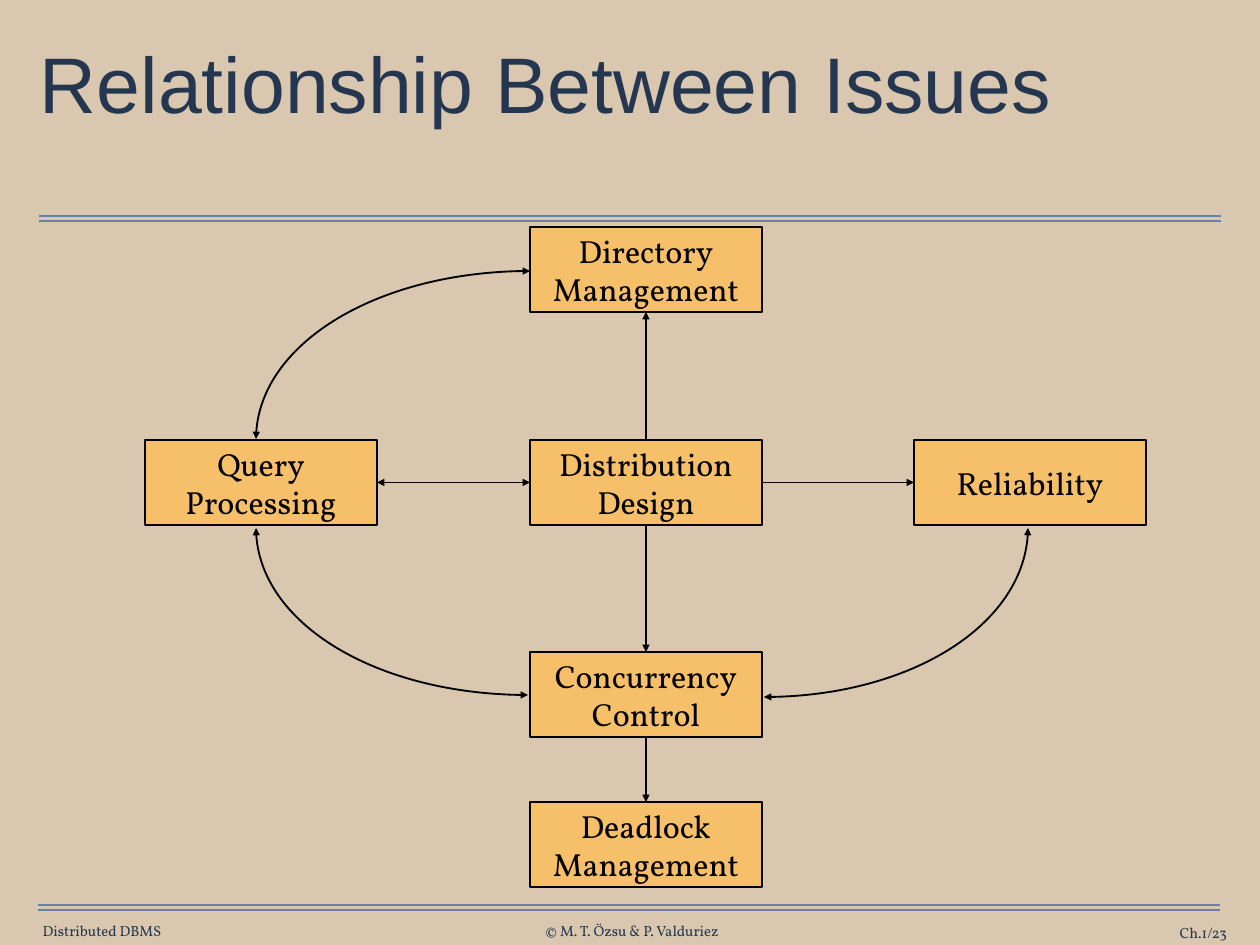
from lxml.etree import SubElement
from pptx import Presentation
from pptx.dml.color import RGBColor
from pptx.enum.shapes import MSO_CONNECTOR as Link, MSO_SHAPE as Shape
from pptx.enum.text import MSO_ANCHOR as Anchor, MSO_AUTO_SIZE as Fit, PP_ALIGN as Align
from pptx.oxml.ns import qn
from pptx.util import Pt

PX = 10320
INK, NAVY, RULE, GOLD, SAND = "000000", "263750", "6682AA", "F6BF69", "D9C8AF"


def paint(color, code):
    color.rgb = RGBColor.from_string(code)


def stroke(item, code, width, ends=()):
    paint(item.line.color, code)
    item.line.width = Pt(width)
    props = item._element.spPr
    for end in ends:
        SubElement(props.find(qn("a:ln")), qn("a:" + end), type="triangle")
    if props.find(qn("a:effectLst")) is None:
        SubElement(props, qn("a:effectLst"))


deck = Presentation()
deck.slide_width, deck.slide_height = 1260 * PX, 945 * PX
slide = deck.slides.add_slide(deck.slide_layouts[5])
slide.background.fill.solid()
paint(slide.background.fill.fore_color, SAND)
shapes = slide.shapes

title = shapes.title
title.left, title.top, title.width, title.height = 35 * PX, 43 * PX, 1190 * PX, 156 * PX
frame = title.text_frame
frame.auto_size = Fit.NONE
frame.word_wrap = True
frame.vertical_anchor = Anchor.TOP
frame.margin_left = frame.margin_right = frame.margin_top = frame.margin_bottom = 5 * PX
para = frame.paragraphs[0]
para.alignment = Align.LEFT
para.line_spacing = 0.87
run = para.add_run()
run.text = "Relationship Between Issues"
run.font.name, run.font.size = "Arial", Pt(64)
paint(run.font.color, "253750")

for left, top in ((39, 216), (38, 905)):
    for y in (top, top + 5):
        rule = shapes.add_connector(
            Link.STRAIGHT, left * PX, y * PX, (left + 1182) * PX, y * PX)
        stroke(rule, RULE, 1)

for text, x, y, w, align in (
    ("Distributed DBMS", 41, 922, 122, Align.CENTER),
    ("© M. T. Özsu & P. Valduriez", 540, 922, 184, Align.CENTER),
    ("Ch.1/23", 1091, 924, 136, Align.RIGHT),
):
    foot = shapes.add_textbox(x * PX, y * PX, w * PX, 18 * PX)
    frame = foot.text_frame
    frame.word_wrap = align == Align.RIGHT
    frame.vertical_anchor = Anchor.MIDDLE
    frame.margin_left = frame.margin_right = frame.margin_top = frame.margin_bottom = 0
    para = frame.paragraphs[0]
    para.alignment = align
    run = para.add_run()
    run.text = text
    run.font.name, run.font.size = "Vollkorn", Pt(12)
    paint(run.font.color, NAVY)

boxes = {}
for name, x, y, words in (
    ("dir", 530, 227, ("Directory", "Management")),
    ("query", 145, 440, ("Query", "Processing")),
    ("design", 530, 440, ("Distribution", "Design")),
    ("rely", 914, 440, ("Reliability",)),
    ("control", 530, 652, ("Concurrency", "Control")),
    ("lock", 530, 802, ("Deadlock", "Management")),
):
    box = shapes.add_shape(Shape.RECTANGLE, x * PX, y * PX, 232 * PX, 85 * PX)
    box.shadow.inherit = False
    box.fill.solid()
    paint(box.fill.fore_color, GOLD)
    stroke(box, INK, 1.5)
    frame = box.text_frame
    frame.word_wrap = False
    frame.vertical_anchor = Anchor.MIDDLE
    frame.margin_left = frame.margin_right = 12 * PX
    frame.margin_top = frame.margin_bottom = 6 * PX
    for i, word in enumerate(words):
        para = frame.add_paragraph() if i else frame.paragraphs[0]
        para.alignment = Align.CENTER
        run = para.add_run()
        run.text = word
        run.font.name, run.font.size = "Vollkorn", Pt(26)
        paint(run.font.color, INK)
    boxes[name] = box

ONE, BOTH = ("tailEnd",), ("headEnd", "tailEnd")
for start, out, end, into, ends in (
    ("design", 0, "dir", 2, ONE),
    ("design", 2, "control", 0, ONE),
    ("control", 2, "lock", 0, ONE),
    ("design", 3, "rely", 1, ONE),
    ("query", 3, "design", 1, BOTH),
):
    arrow = shapes.add_connector(Link.STRAIGHT, 0, 0, 0, 0)
    arrow.begin_connect(boxes[start], out)
    arrow.end_connect(boxes[end], into)
    stroke(arrow, INK, 1.5, ends)

BEND = 0.55
for x, y, far, level in (
    (256, 439, 530, 271),
    (256, 528, 528, 695),
    (1028, 528, 764, 697),
):
    pen = shapes.build_freeform(x, y, PX)
    pen.add_line_segments([
        (x, y + BEND * (level - y)),
        (far + BEND * (x - far), level),
        (far, level),
    ], close=False)
    curve = pen.convert_to_shape()
    curve.shadow.inherit = False
    curve.fill.background()
    stroke(curve, INK, 1.5, BOTH)
    track = curve._element.find(".//" + qn("a:path"))
    bend = SubElement(track, qn("a:cubicBezTo"))
    for leg in track.findall(qn("a:lnTo")):
        bend.append(leg[0])
        track.remove(leg)

deck.save("out.pptx")
